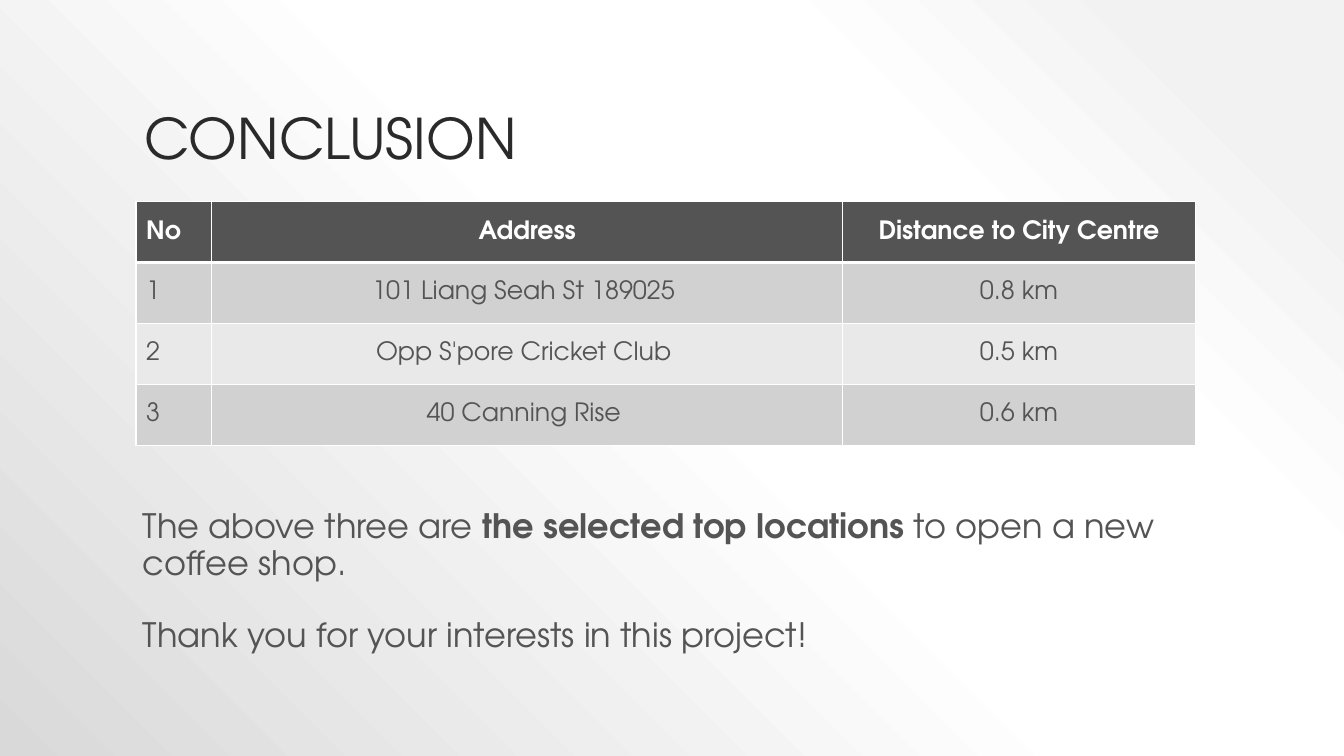
from lxml import etree
from pptx import Presentation
from pptx import util as u
from pptx.dml import color
from pptx.enum import text
from pptx.oxml import ns, parse_xml


def rgb(value):
    return color.RGBColor.from_string(value)


class Deck:
    font = "TeX Gyre Adventor"
    ink, heading, white = "545454", "2A2A2A", "FFFFFF"
    bands = ("D1D1D1", "E9E9E9")

    def __init__(self, width, height):
        self.prs = Presentation()
        self.prs.slide_width, self.prs.slide_height = u.Pt(width), u.Pt(height)
        self.s = self.prs.slides.add_slide(self.prs.slide_layouts[5])

    def style(self, p, size, fill, bold=False):
        for r in p.runs:
            r.font.name, r.font.size, r.font.bold = self.font, u.Pt(size), bold
            r.font.color.rgb = rgb(fill)

    def background(self, stops):
        self.s.background.fill.gradient()
        grad = self.s.element.find(".//" + ns.qn("a:gradFill"))
        for child in list(grad):
            grad.remove(child)
        lst = etree.SubElement(grad, ns.qn("a:gsLst"))
        for pos, value in stops:
            gs = etree.SubElement(lst, ns.qn("a:gs"), pos=str(pos * 1000))
            etree.SubElement(gs, ns.qn("a:srgbClr"), val=value)
        circle = etree.SubElement(grad, ns.qn("a:path"), path="circle")
        etree.SubElement(circle, ns.qn("a:fillToRect"), l="100000", b="100000")

    def title(self, words, box):
        sp = self.s.shapes.title
        sp.left, sp.top, sp.width, sp.height = map(u.Pt, box)
        tf = sp.text_frame
        tf.text = words
        tf.word_wrap, tf.auto_size = True, text.MSO_AUTO_SIZE.NONE
        tf.vertical_anchor = text.MSO_ANCHOR.BOTTOM
        p = tf.paragraphs[0]
        p.alignment, p.line_spacing = text.PP_ALIGN.LEFT, 0.9
        self.style(p, 40, self.heading)

    def borders(self, cell, **widths):
        tc_pr = cell._tc.get_or_add_tcPr()
        for side in "LRTB":
            tc_pr.append(parse_xml(
                f'<a:ln{side} {ns.nsdecls("a")} w="{u.Pt(widths.get(side, 1))}">'
                f'<a:solidFill><a:srgbClr val="{self.white}"/></a:solidFill></a:ln{side}>'))

    def table(self, rows, left, top, widths, row_height):
        frame = self.s.shapes.add_table(
            len(rows), len(widths), u.Pt(left), u.Pt(top),
            u.Pt(sum(widths)), u.Pt(row_height * len(rows)))
        tbl = frame.table
        for col, width in zip(tbl.columns, widths):
            col.width = u.Pt(width)
        for i, row in enumerate(rows):
            tbl.rows[i].height = u.Pt(row_height)
            head = i == 0
            for j, words in enumerate(row):
                cell = tbl.cell(i, j)
                self.borders(cell, B=3 if head else 1, T=3 if i == 1 else 1)
                cell.fill.solid()
                cell.fill.fore_color.rgb = rgb(self.ink if head else self.bands[(i - 1) % 2])
                cell.vertical_anchor = text.MSO_ANCHOR.MIDDLE
                cell.text = words
                p = cell.text_frame.paragraphs[0]
                p.alignment = text.PP_ALIGN.CENTER if j else text.PP_ALIGN.LEFT
                self.style(p, 18, self.white if head else self.ink, head)

    def text(self, paragraphs, box, gap):
        tf = self.s.shapes.add_textbox(*map(u.Pt, box)).text_frame
        tf.word_wrap = True
        for i, parts in enumerate(paragraphs):
            p = tf.add_paragraph() if i else tf.paragraphs[0]
            p.line_spacing = 0.9
            p.space_before = u.Pt(gap if i else 0)
            for words in parts:
                p.add_run().text = words
            self.style(p, 24, self.ink)
            for r in p.runs[1:2]:
                r.font.bold = True


def main():
    deck = Deck(960, 540)
    deck.background([(10, "F2F2F2"), (28, "FFFFFF"), (48, "FFFFFF"), (100, "D9D9D9")])
    deck.title("CONCLUSION", (96, 21.6, 768, 104.4))
    deck.table(
        [("No", "Address", "Distance to City Centre"),
         ("1", "101 Liang Seah St 189025 ", "0.8 km"),
         ("2", "Opp S'pore Cricket Club ", "0.5 km"),
         ("3", "40 Canning Rise ", "0.6 km")],
        97.2, 144, (54, 450.7, 252), 43.5)
    deck.text(
        [("The above three are ", "the selected top locations ", "to open a new coffee shop."),
         ("Thank you for your interests in this project!",)],
        (95, 360.7, 768, 112.3), 26)
    deck.prs.save("out.pptx")


if __name__ == "__main__":
    main()
